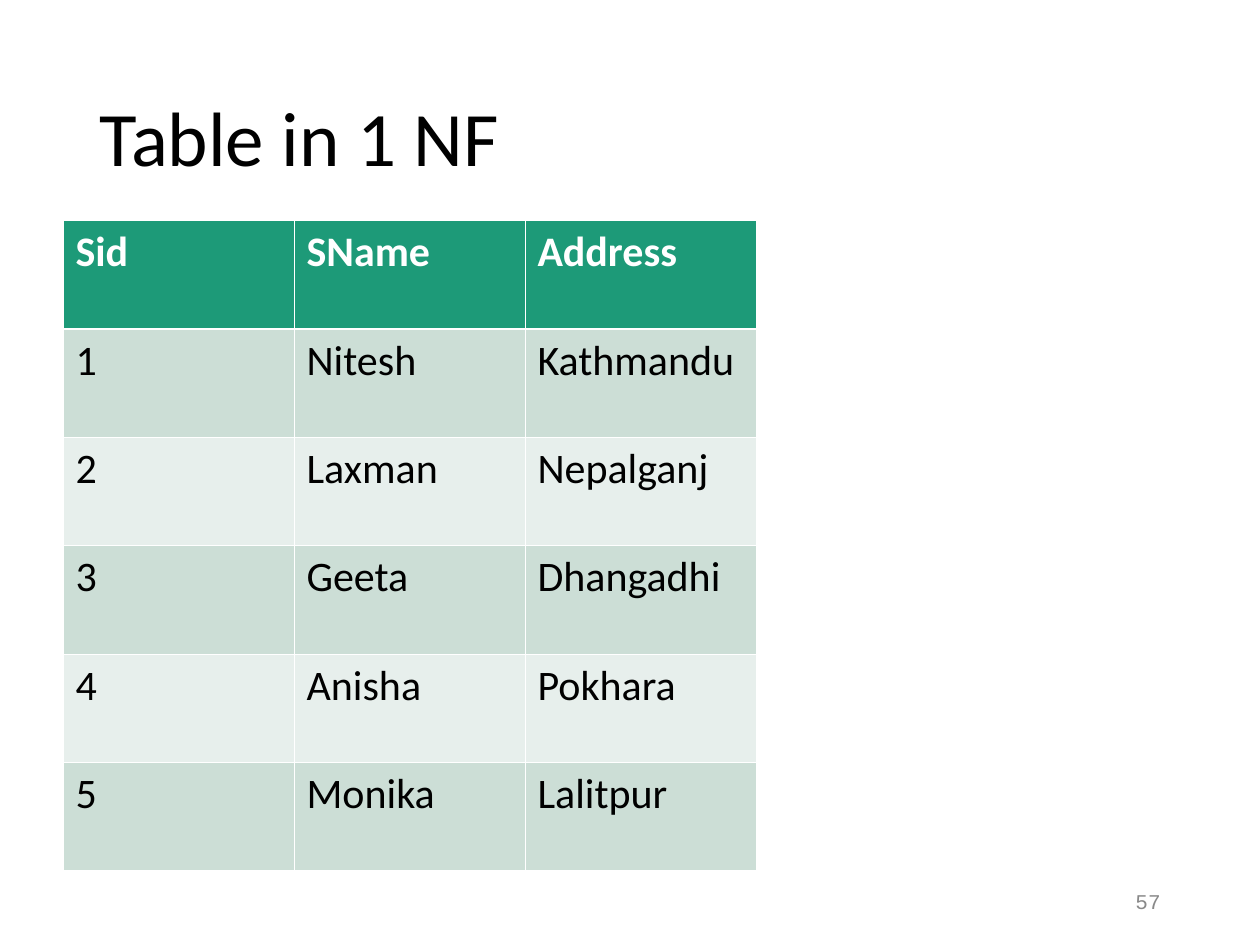
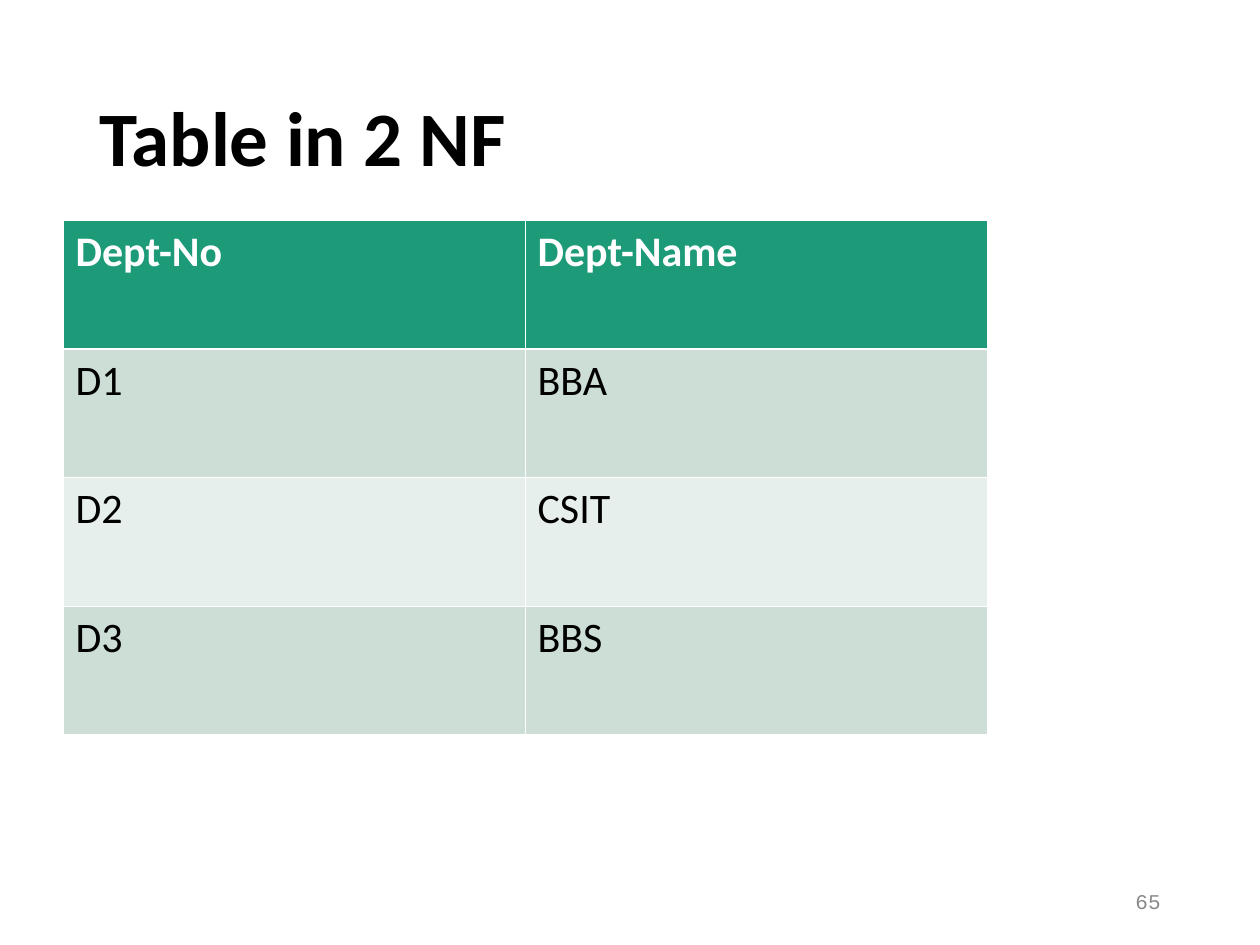
from dataclasses import dataclass

from lxml import etree
from pptx import Presentation
from pptx.dml.color import RGBColor
from pptx.enum.text import MSO_ANCHOR, PP_ALIGN
from pptx.oxml.ns import qn
from pptx.presentation import Presentation as Deck
from pptx.slide import Slide
from pptx.table import _Cell as Cell
from pptx.text.text import _Paragraph as Paragraph
from pptx.util import Emu, Inches, Pt

MIDDLE = MSO_ANCHOR.MIDDLE
RIGHT = PP_ALIGN.RIGHT

SLIDE_WIDTH = Inches(10)
SLIDE_HEIGHT = Inches(7.5)
TITLE_ONLY_LAYOUT = 5
GRID_COLUMN = Inches(5.5 / 3)
TABLE_LEFT = Inches(0.5)
TABLE_TOP = Inches(1.75)
THIN_BORDER = Pt(0.45)
HEADER_BORDER = Pt(1.47)
BODY_FONT = "Calibri"
NUMBER_FONT = "Courier New"

COLORS = {
    "paper": "FFFFFF",
    "text": "000000",
    "header": "1D9A78",
    "odd_row": "CCDED6",
    "even_row": "E7EFEC",
    "number": "898989",
}


@dataclass(frozen=True)
class Box:
    left: float
    top: float
    width: float
    height: float

    def lengths(self) -> tuple[Emu, Emu, Emu, Emu]:
        return (
            Emu(int(self.left * SLIDE_WIDTH)),
            Emu(int(self.top * SLIDE_HEIGHT)),
            Emu(int(self.width * SLIDE_WIDTH)),
            Emu(int(self.height * SLIDE_HEIGHT)),
        )


@dataclass(frozen=True)
class TextStyle:
    size: float
    color: str
    font: str = BODY_FONT
    bold: bool = False


@dataclass(frozen=True)
class NormalFormSlide:
    title: str
    title_bold: bool
    number: str
    column_span: int
    row_height: float
    rows: tuple[tuple[str, ...], ...]


TITLE_BOX = Box(0.069, 0.4 / 7.5, 0.863, 1.45 / 7.5)
NUMBER_BOX = Box(0.706, 6.95 / 7.5, 0.225, 0.4 / 7.5)
HEADER_STYLE = TextStyle(24, "paper", bold=True)
CELL_STYLE = TextStyle(24, "text")
NUMBER_STYLE = TextStyle(12, "number", NUMBER_FONT)

SLIDES = (
    NormalFormSlide(
        title="Table in 1 NF",
        title_bold=False,
        number="57",
        column_span=1,
        row_height=0.86,
        rows=(
            ("Sid", "SName", "Address"),
            ("1", "Nitesh", "Kathmandu"),
            ("2", "Laxman", "Nepalganj"),
            ("3", "Geeta", "Dhangadhi"),
            ("4", "Anisha", "Pokhara"),
            ("5", "Monika", "Lalitpur"),
        ),
    ),
    NormalFormSlide(
        title="Table in 2 NF",
        title_bold=True,
        number="65",
        column_span=2,
        row_height=1.02,
        rows=(
            ("Dept-No", "Dept-Name"),
            ("D1", "BBA"),
            ("D2", "CSIT"),
            ("D3", "BBS"),
        ),
    ),
)


def color(name: str) -> RGBColor:
    return RGBColor.from_string(COLORS[name])


def add_run(paragraph: Paragraph, text: str, style: TextStyle) -> None:
    run = paragraph.add_run()
    run.text = text
    run.font.name = style.font
    run.font.size = Pt(style.size)
    run.font.bold = style.bold
    run.font.color.rgb = color(style.color)


def add_title(slide: Slide, text: str, bold: bool) -> None:
    title = slide.shapes.title
    title.left, title.top, title.width, title.height = TITLE_BOX.lengths()
    title.text_frame.vertical_anchor = MIDDLE
    paragraph = title.text_frame.paragraphs[0]
    paragraph.alignment = PP_ALIGN.LEFT
    paragraph.line_spacing = 0.9
    add_run(paragraph, text, TextStyle(44, "text", bold=bold))


def add_number(slide: Slide, text: str) -> None:
    text_frame = slide.shapes.add_textbox(*NUMBER_BOX.lengths()).text_frame
    text_frame.word_wrap = True
    text_frame.vertical_anchor = MIDDLE
    paragraph = text_frame.paragraphs[0]
    paragraph.alignment = RIGHT
    add_run(paragraph, text, NUMBER_STYLE)


def set_borders(cell: Cell, row_index: int) -> None:
    widths = {
        "a:lnL": THIN_BORDER,
        "a:lnR": THIN_BORDER,
        "a:lnT": HEADER_BORDER if row_index == 1 else THIN_BORDER,
        "a:lnB": HEADER_BORDER if row_index == 0 else THIN_BORDER,
    }
    properties = cell._tc.get_or_add_tcPr()
    for tag, width in widths.items():
        line = etree.SubElement(properties, qn(tag), w=str(int(width)))
        fill = etree.SubElement(line, qn("a:solidFill"))
        etree.SubElement(fill, qn("a:srgbClr"), val=COLORS["paper"])


def row_fill(row_index: int) -> str:
    if row_index == 0:
        return "header"
    return "odd_row" if row_index % 2 else "even_row"


def add_relation_table(slide: Slide, content: NormalFormSlide) -> None:
    row_count, column_count = len(content.rows), len(content.rows[0])
    column_width = content.column_span * GRID_COLUMN
    row_height = Inches(content.row_height)
    table = slide.shapes.add_table(
        row_count,
        column_count,
        TABLE_LEFT,
        TABLE_TOP,
        column_count * column_width,
        row_count * row_height,
    ).table
    for column in table.columns:
        column.width = column_width
    for row_index, values in enumerate(content.rows):
        table.rows[row_index].height = row_height
        style = CELL_STYLE if row_index else HEADER_STYLE
        for column_index, value in enumerate(values):
            cell = table.cell(row_index, column_index)
            set_borders(cell, row_index)
            cell.fill.solid()
            cell.fill.fore_color.rgb = color(row_fill(row_index))
            add_run(cell.text_frame.paragraphs[0], value, style)


def add_normal_form_slide(presentation: Deck, content: NormalFormSlide) -> None:
    layout = presentation.slide_layouts[TITLE_ONLY_LAYOUT]
    slide = presentation.slides.add_slide(layout)
    add_title(slide, content.title, content.title_bold)
    add_relation_table(slide, content)
    add_number(slide, content.number)


def main() -> None:
    presentation = Presentation()
    presentation.slide_width = SLIDE_WIDTH
    presentation.slide_height = SLIDE_HEIGHT
    for content in SLIDES:
        add_normal_form_slide(presentation, content)
    presentation.save("out.pptx")


if __name__ == "__main__":
    main()
